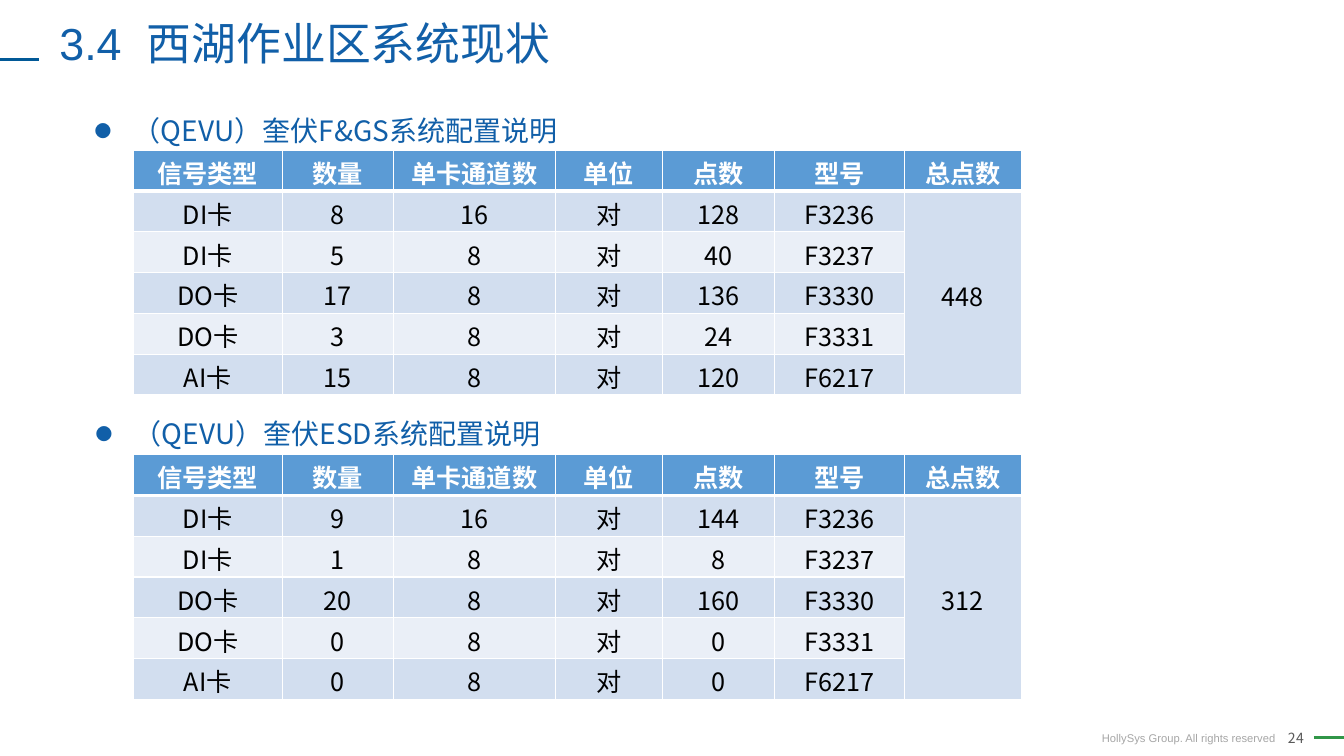
from lxml import etree
from pptx import Presentation
from pptx.dml.color import RGBColor
from pptx.enum.shapes import MSO_CONNECTOR
from pptx.enum.text import MSO_ANCHOR, PP_ALIGN
from pptx.oxml.ns import qn
from pptx.util import Inches, Pt

STRAIGHT = MSO_CONNECTOR.STRAIGHT
MIDDLE, TOP = MSO_ANCHOR.MIDDLE, MSO_ANCHOR.TOP
LEFT, CENTER, RIGHT = PP_ALIGN.LEFT, PP_ALIGN.CENTER, PP_ALIGN.RIGHT

BLUE = RGBColor(0x11, 0x5F, 0xA8)
RULE_BLUE = RGBColor(0x01, 0x59, 0x97)
RULE_GREEN = RGBColor(0x31, 0x96, 0x48)
HEADER_BLUE = RGBColor(0x5B, 0x9B, 0xD5)
BAND_DARK = RGBColor(0xD2, 0xDE, 0xEF)
BAND_LIGHT = RGBColor(0xEA, 0xEF, 0xF7)
WHITE = RGBColor(0xFF, 0xFF, 0xFF)
BLACK = RGBColor(0, 0, 0)
RIGHTS_GREY = RGBColor(0xA6, 0xA6, 0xA6)
NUMBER_GREY = RGBColor(0x59, 0x59, 0x59)

SANS = "Noto Sans CJK SC"
ARIAL = "Arial"

SLIDE_W, SLIDE_H = 13.33, 7.5
COLUMN_WIDTHS = [1.48, 1.1, 1.61, 1.06, 1.11, 1.29, 1.16]
TABLE_HEIGHT = 2.43
HEADERS = ["信号类型", "数量", "单卡通道数", "单位", "点数", "型号", "总点数"]
# Card type, channels per card, model
CARDS = [("DI卡", 16, "F3236"), ("DI卡", 8, "F3237"), ("DO卡", 8, "F3330"),
         ("DO卡", 8, "F3331"), ("AI卡", 8, "F6217")]
# Heading, heading position, table top, quantity of each card
SYSTEMS = [
    ("（QEVU）奎伏F&GS系统配置说明", (0.34, 0.91), 1.49, [8, 5, 17, 3, 15]),
    ("（QEVU）奎伏ESD系统配置说明", (0.35, 3.92), 4.51, [9, 1, 20, 0, 0]),
]


def add_run(paragraph, text, size, color, font=SANS, bold=False, spacing=0):
    run = paragraph.add_run()
    run.text = text
    run.font.size = Pt(size)
    run.font.name = font
    run.font.bold = bold
    run.font.color.rgb = color
    properties = run.font._element
    east_asian = etree.SubElement(properties, qn("a:ea"))
    east_asian.set("typeface", SANS)
    if spacing:
        properties.set("spc", str(round(spacing * 100)))


def add_text_box(slide, left, top, width, height, align=LEFT, wrap=True):
    frame = slide.shapes.add_textbox(
        Inches(left), Inches(top), Inches(width), Inches(height)).text_frame
    frame.word_wrap = wrap
    frame.vertical_anchor = TOP
    frame.paragraphs[0].alignment = align
    return frame


def add_rule(slide, left, y, right, color):
    rule = slide.shapes.add_connector(
        STRAIGHT, Inches(left), Inches(y), Inches(right), Inches(y))
    rule.line.color.rgb = color
    rule.line.width = Pt(2)
    etree.SubElement(rule._element.spPr, qn("a:effectLst"))


def add_title(slide, left, top, width, height):
    add_rule(slide, 0, 0.59, 0.39, RULE_BLUE)
    frame = add_text_box(slide, left, top, width, height)
    frame.margin_top = frame.margin_bottom = 0
    title = frame.paragraphs[0]
    title.line_spacing = 0.9
    add_run(title, "3.4", 32, BLUE, ARIAL)
    add_run(title, " ", 32, BLUE, ARIAL, spacing=9)
    add_run(title, "西湖作业区系统现状", 32, BLUE, ARIAL)


def add_heading(slide, text, left, top, width, height):
    heading = add_text_box(slide, left, top, width, height).paragraphs[0]
    heading.line_spacing = 1.5
    properties = heading._p.get_or_add_pPr()
    properties.set("marL", str(Inches(0.88)))
    properties.set("indent", str(Inches(-0.38)))
    bullet_color = etree.SubElement(properties, qn("a:buClr"))
    etree.SubElement(bullet_color, qn("a:srgbClr")).set("val", str(BLUE))
    etree.SubElement(properties, qn("a:buSzPct")).set("val", "60000")
    etree.SubElement(properties, qn("a:buFont")).set("typeface", SANS)
    etree.SubElement(properties, qn("a:buChar")).set("char", "●")
    add_run(heading, text, 20, BLUE)


def set_borders(cell, bottom_width):
    properties = cell._tc.get_or_add_tcPr()
    widths = {"a:lnL": 1, "a:lnR": 1, "a:lnT": 1, "a:lnB": bottom_width}
    for side, width in widths.items():
        border = etree.SubElement(properties, qn(side))
        border.set("w", str(Pt(width)))
        fill = etree.SubElement(border, qn("a:solidFill"))
        etree.SubElement(fill, qn("a:srgbClr")).set("val", str(WHITE))


def add_card_table(slide, quantities, left, top, height):
    points = [quantity * card[1] for quantity, card in zip(quantities, CARDS)]
    rows = [HEADERS]
    for (card, channels, model), quantity, count in zip(CARDS, quantities, points):
        rows.append([card, quantity, channels, "对", count, model, ""])
    rows[1][-1] = sum(points)

    table = slide.shapes.add_table(
        len(rows), len(HEADERS), Inches(left), Inches(top),
        Inches(sum(COLUMN_WIDTHS)), Inches(height)).table
    for column, width in zip(table.columns, COLUMN_WIDTHS):
        column.width = Inches(width)
    for r, row in enumerate(rows):
        table.rows[r].height = Inches(height / len(rows))
        is_header = r == 0
        band = HEADER_BLUE if is_header else BAND_DARK if r % 2 else BAND_LIGHT
        for c, value in enumerate(row):
            cell = table.cell(r, c)
            set_borders(cell, 3 if is_header else 1)
            cell.fill.solid()
            cell.fill.fore_color.rgb = band
            cell.margin_top, cell.margin_bottom = Inches(0.04), 0
            paragraph = cell.text_frame.paragraphs[0]
            paragraph.alignment = CENTER
            if value != "":
                add_run(paragraph, str(value), 18,
                        WHITE if is_header else BLACK, bold=is_header)
    # Total spans all card rows
    total = table.cell(1, len(HEADERS) - 1)
    total.merge(table.cell(len(rows) - 1, len(HEADERS) - 1))
    total.vertical_anchor = MIDDLE


def add_footer(slide, left, top):
    add_rule(slide, 13.03, 7.32, SLIDE_W, RULE_GREEN)
    rights = add_text_box(slide, left, top + 0.02, 1.95, 0.24, wrap=False)
    add_run(rights.paragraphs[0], "HollySys Group. All rights reserved", 8,
            RIGHTS_GREY, ARIAL)
    number = add_text_box(slide, left + 1.57, top, 0.63, 0.27, RIGHT)
    add_run(number.paragraphs[0], "24", 10, NUMBER_GREY, spacing=0.3)


def main():
    presentation = Presentation()
    presentation.slide_width = Inches(SLIDE_W)
    presentation.slide_height = Inches(SLIDE_H)
    slide = presentation.slides.add_slide(presentation.slide_layouts[6])

    add_footer(slide, 10.83, 7.19)
    add_title(slide, 0.49, 0.22, 7.65, 0.45)
    for heading, (left, top), table_top, quantities in SYSTEMS:
        add_heading(slide, heading, left, top, 12.27, 0.55)
        add_card_table(slide, quantities, 1.32, table_top, TABLE_HEIGHT)
    presentation.save("out.pptx")


if __name__ == "__main__":
    main()
